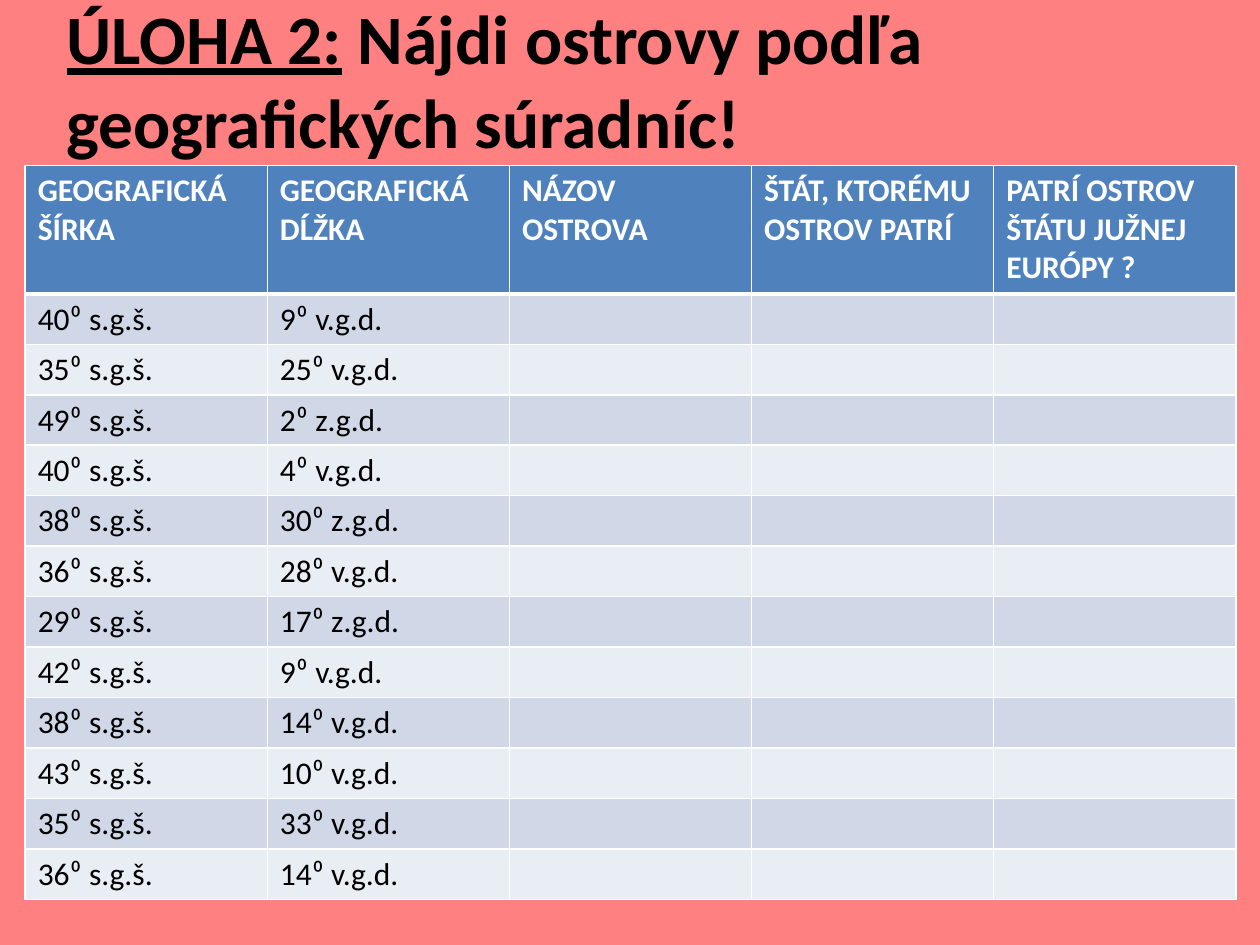
from dataclasses import dataclass

from lxml import etree
from pptx import Presentation
from pptx.dml.color import RGBColor
from pptx.enum.text import MSO_ANCHOR
from pptx.oxml.ns import qn
from pptx.util import Inches, Pt

MIDDLE = MSO_ANCHOR.MIDDLE


@dataclass(frozen=True)
class Theme:
    font: str = "Calibri"
    background: str = "FF8080"
    dark: str = "000000"
    light: str = "FFFFFF"
    header: str = "4F81BD"
    bands: tuple = ("D0D8E8", "E9EDF4")
    title_size: float = 39.6
    cell_size: float = 18
    rule: float = 1
    header_rule: float = 3


THEME = Theme()
WIDTH, HEIGHT = Inches(10), Inches(7.5)
HEADER_HEIGHT, ROW_HEIGHT = Inches(1.02), Inches(0.4)

HEADINGS = [
    "GEOGRAFICKÁ\nŠÍRKA",
    "GEOGRAFICKÁ DĹŽKA",
    "NÁZOV OSTROVA",
    "ŠTÁT, KTORÉMU OSTROV PATRÍ",
    "PATRÍ OSTROV ŠTÁTU JUŽNEJ EURÓPY ?",
]
COORDINATES = [
    (40, 9, "v"), (35, 25, "v"), (49, 2, "z"), (40, 4, "v"),
    (38, 30, "z"), (36, 28, "v"), (29, 17, "z"), (42, 9, "v"),
    (38, 14, "v"), (43, 10, "v"), (35, 33, "v"), (36, 14, "v"),
]


def add_run(p, text, size, color, bold=False, underline=False):
    r = p.add_run()
    r.text = text
    r.font.name = THEME.font
    r.font.size = Pt(size)
    r.font.bold = bold
    r.font.underline = underline
    r.font.color.rgb = RGBColor.from_string(color)


def add_title(s):
    sp = s.shapes.add_textbox(int(WIDTH * 0.043), 0, int(WIDTH * 0.9), HEIGHT // 6)
    tf = sp.text_frame
    tf.word_wrap = True
    tf.vertical_anchor = MIDDLE
    p = tf.paragraphs[0]
    add_run(p, "ÚLOHA 2:", THEME.title_size, THEME.dark, True, True)
    add_run(p, " Nájdi ostrovy podľa geografických súradníc!",
            THEME.title_size, THEME.dark, True)


def set_borders(cell, top, bottom):
    tc_pr = cell._tc.get_or_add_tcPr()
    sides = {"L": THEME.rule, "R": THEME.rule, "T": top, "B": bottom}
    for side, width in sides.items():
        ln = etree.SubElement(tc_pr, qn(f"a:ln{side}"), w=str(Pt(width)))
        fill = etree.SubElement(ln, qn("a:solidFill"))
        etree.SubElement(fill, qn("a:srgbClr"), val=THEME.light)


def fill_cell(cell, text, fill, color, bold):
    cell.fill.solid()
    cell.fill.fore_color.rgb = RGBColor.from_string(fill)
    tf = cell.text_frame
    for i, line in enumerate(text.split("\n")):
        p = tf.add_paragraph() if i else tf.paragraphs[0]
        if line:
            add_run(p, line, THEME.cell_size, color, bold)


def add_island_table(s):
    columns = len(HEADINGS)
    blanks = [""] * (columns - 2)
    rows = [HEADINGS] + [
        [f"{lat}⁰ s.g.š.", f"{lon}⁰ {side}.g.d.", *blanks]
        for lat, lon, side in COORDINATES
    ]
    height = HEADER_HEIGHT + ROW_HEIGHT * len(COORDINATES)
    table = s.shapes.add_table(
        len(rows), columns, int(WIDTH * 0.02), int(HEIGHT * 0.175),
        int(WIDTH * 0.961), height).table
    for i, row in enumerate(rows):
        is_header = i == 0
        table.rows[i].height = HEADER_HEIGHT if is_header else ROW_HEIGHT
        fill = THEME.header if is_header else THEME.bands[(i - 1) % 2]
        color = THEME.light if is_header else THEME.dark
        top = THEME.header_rule if i == 1 else THEME.rule
        bottom = THEME.header_rule if is_header else THEME.rule
        for j, text in enumerate(row):
            cell = table.cell(i, j)
            set_borders(cell, top, bottom)
            fill_cell(cell, text, fill, color, is_header)


def main():
    prs = Presentation()
    prs.slide_width, prs.slide_height = WIDTH, HEIGHT
    s = prs.slides.add_slide(prs.slide_layouts[6])
    s.background.fill.solid()
    s.background.fill.fore_color.rgb = RGBColor.from_string(THEME.background)
    add_title(s)
    add_island_table(s)
    prs.save("out.pptx")


if __name__ == "__main__":
    main()
